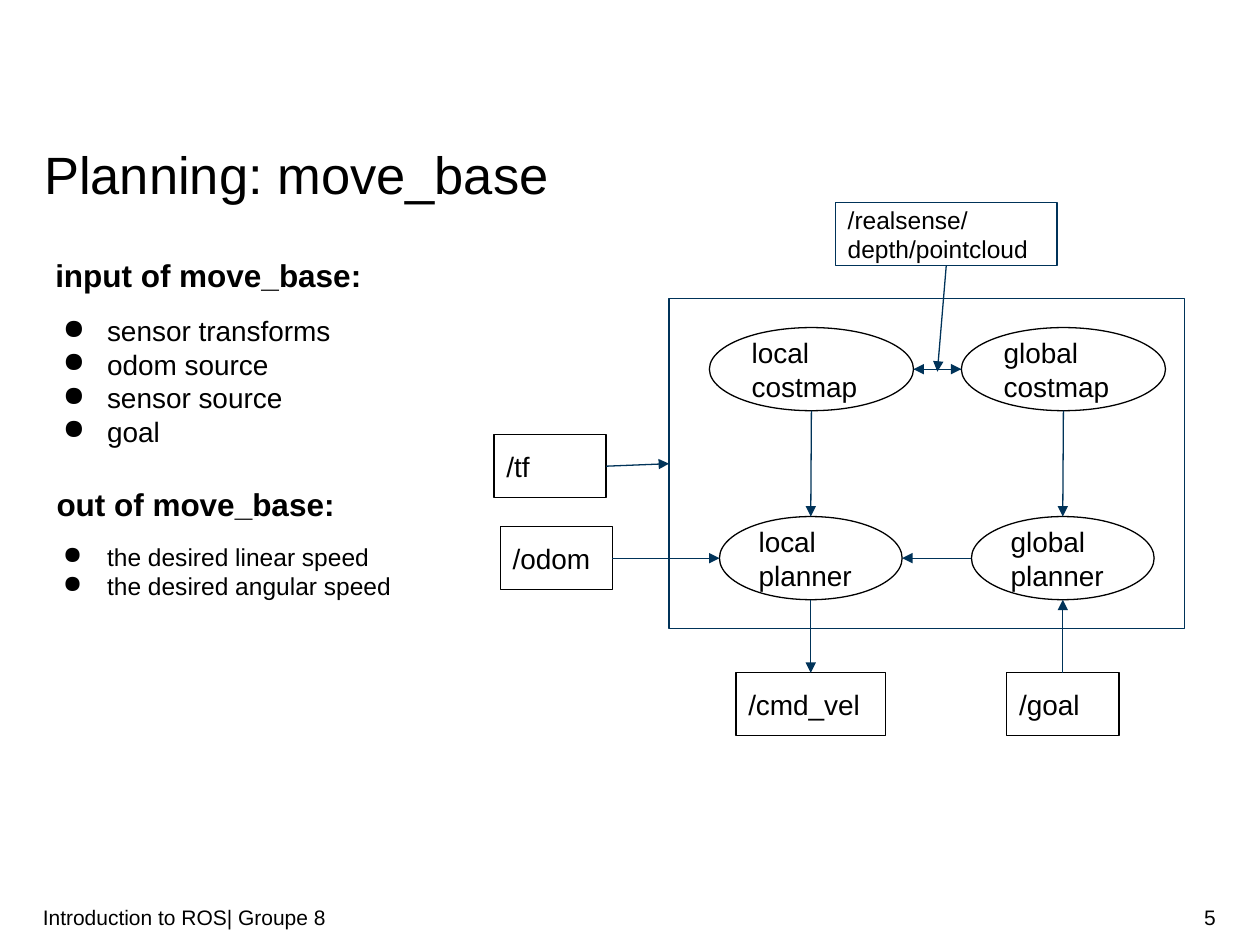
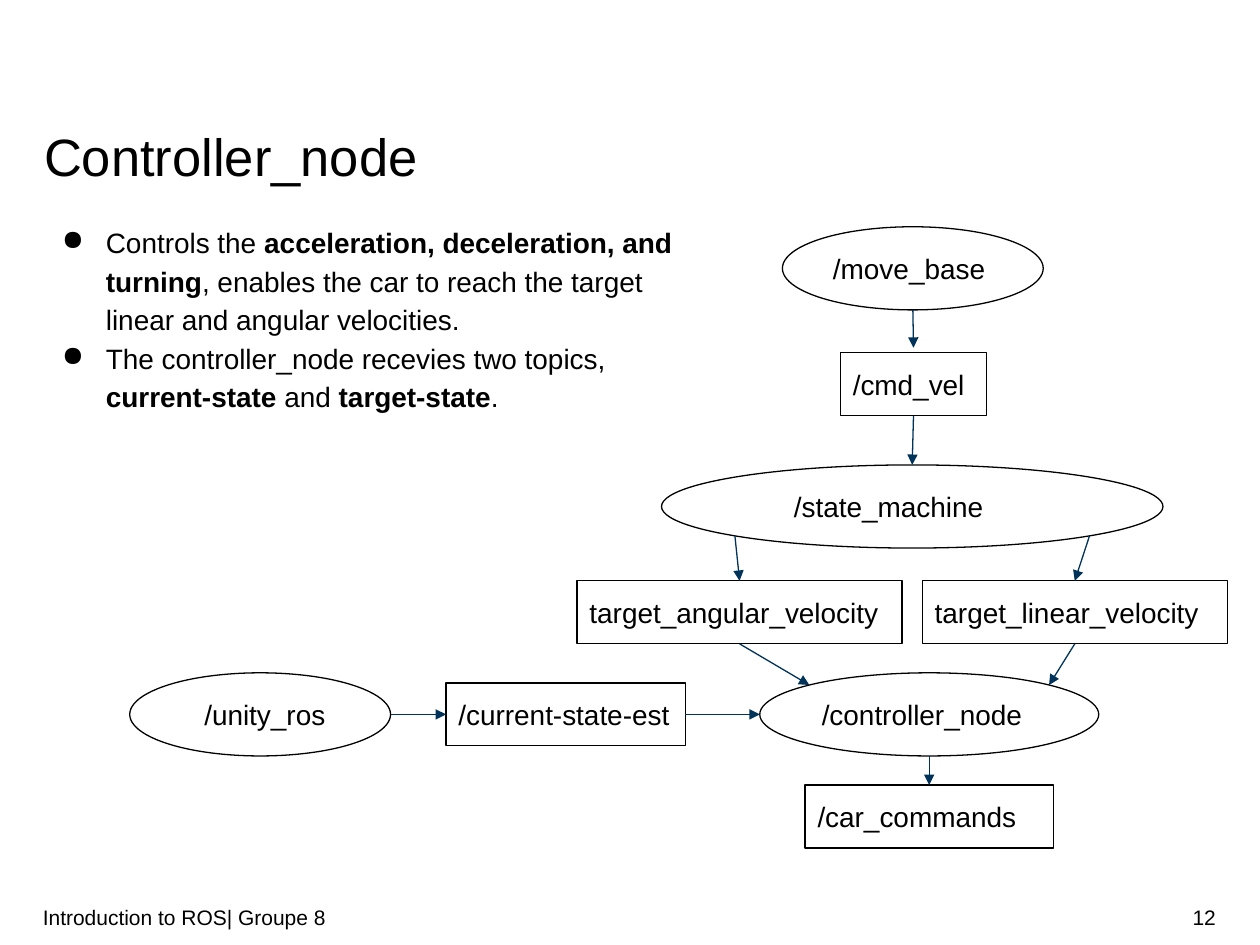
from dataclasses import dataclass

from lxml import etree
from pptx import Presentation
from pptx import util as u
from pptx.dml.color import RGBColor
from pptx.enum import shapes, text
from pptx.oxml import ns


@dataclass(frozen=True)
class Theme:
    font: str = "Arial"
    ink: RGBColor = RGBColor(0, 0, 0)
    paper: RGBColor = RGBColor(255, 255, 255)
    navy: RGBColor = RGBColor(0x00, 0x33, 0x59)
    line: float = 0.75
    title: int = 30
    head: int = 18
    body: int = 16
    small: int = 14
    foot: int = 12


T = Theme()
RECT = shapes.MSO_SHAPE.RECTANGLE
OVAL = shapes.MSO_SHAPE.OVAL
MIDDLE = text.MSO_ANCHOR.MIDDLE
NEAR = 0.5 - 0.5 ** 1.5  # where an oval's diagonal meets its outline
FAR = 1 - NEAR
SIDES = ["top", "left", "low", "right"]  # in order of connection site
SPOTS = {
    "top": (0.5, 0), "left": (0, 0.5), "low": (0.5, 1), "right": (1, 0.5),
    "nw": (NEAR, NEAR), "ne": (FAR, NEAR), "sw": (NEAR, FAR), "se": (FAR, FAR),
}


# Text helpers
def style(frame, size, bold=None):
    for para in frame.paragraphs:
        for run in para.runs:
            font = run.font
            font.name, font.size = T.font, u.Pt(size)
            font.color.rgb = T.ink
            if bold is not None:
                font.bold = bold


def pad(frame, side, top):
    frame.word_wrap = True
    frame.margin_left = frame.margin_right = u.Inches(side)
    frame.margin_top = frame.margin_bottom = u.Inches(top)


def label(page, words, box, size, side=0, top=0, bold=None, mid=False):
    frame = page.shapes.add_textbox(*map(u.Inches, box)).text_frame
    pad(frame, side, top)
    frame.vertical_anchor = MIDDLE if mid else text.MSO_ANCHOR.TOP
    frame.text = words
    style(frame, size, bold)
    return frame


def bullet(para):
    props = para._p.get_or_add_pPr()
    props.set("marL", str(u.Inches(0.5)))
    props.set("indent", str(u.Inches(-0.35)))
    tint = etree.SubElement(props, ns.qn("a:buClr"))
    etree.SubElement(tint, ns.qn("a:srgbClr"), val=str(T.ink))
    etree.SubElement(props, ns.qn("a:buChar"), char="●")


def points(page, items, box, size, top=0.05, space=None):
    """Bulleted list; parts between double asterisks are bold."""
    frame = page.shapes.add_textbox(*map(u.Inches, box)).text_frame
    pad(frame, 0, top)
    for i, item in enumerate(items):
        para = frame.add_paragraph() if i else frame.paragraphs[0]
        bullet(para)
        para.line_spacing = space
        for j, part in enumerate(item.split("**")):
            run = para.add_run()
            run.text = part
            run.font.bold = j % 2 == 1
    style(frame, size)


# Diagram helpers
def node(page, kind, words, box, size=T.body, fill=True, edge=T.ink, indent=0):
    shape = page.shapes.add_shape(kind, *map(u.Inches, box))
    shape.shadow.inherit = False
    if fill:
        shape.fill.solid()
        shape.fill.fore_color.rgb = T.paper
    else:
        shape.fill.background()
    shape.line.color.rgb = edge
    shape.line.width = u.Pt(T.line)
    frame = shape.text_frame
    pad(frame, 0.1, 0.1)
    frame.vertical_anchor = MIDDLE
    frame.text = words
    for para in frame.paragraphs:
        para.alignment = text.PP_ALIGN.LEFT
        if indent:
            para._p.get_or_add_pPr().set("marL", str(u.Inches(indent)))
    style(frame, size)
    return shape


def topic(page, words, left, top, width, **extra):
    return node(page, RECT, words, (left, top, width, 0.5), **extra)


def oval(page, words, left, top, width, **extra):
    return node(page, OVAL, words, (left, top, width, 0.66), **extra)


def spot(end):
    """Place of an end: (shape, side), or (x, y) in inches."""
    if not isinstance(end[1], str):
        return [u.Inches(n) for n in end]
    shape, side = end
    x, y = SPOTS[side]
    return [int(shape.left + x * shape.width), int(shape.top + y * shape.height)]


def join(end, connect):
    shape, side = end
    if side == "top" or side in SIDES and shape.auto_shape_type == RECT:
        connect(shape, SIDES.index(side))


def link(page, start, end):
    arrow = page.shapes.add_connector(
        shapes.MSO_CONNECTOR.STRAIGHT, *spot(start), *spot(end))
    join(start, arrow.begin_connect)
    join(end, arrow.end_connect)
    arrow.line.color.rgb = T.navy
    arrow.line.width = u.Pt(T.line)
    etree.SubElement(arrow.line._get_or_add_ln(), ns.qn("a:tailEnd"), type="triangle")
    etree.SubElement(arrow._element.spPr, ns.qn("a:effectLst"))


# Shared page: title, footer and number
def sheet(deck, title, top, number):
    page = deck.slides.add_slide(deck.slide_layouts[6])
    head = label(page, title, (0.35, top, 9.31, 0.5), T.title)
    head.paragraphs[0].line_spacing = 1.07
    label(page, "Introduction to ROS| Groupe 8", (0.34, 7.08, 7.07, 0.4),
          T.foot, top=0.05, mid=True)
    count = label(page, number, (7.41, 7.08, 2.24, 0.4), T.foot, top=0.05, mid=True)
    count.paragraphs[0].alignment = text.PP_ALIGN.RIGHT
    return page


def plan(deck):
    page = sheet(deck, "Planning: move_base", 1.09, "5")

    # Inputs and outputs
    label(page, "input of move_base:", (0.34, 1.93, 4.18, 0.5), T.head, 0.1, 0.1, True)
    points(page, ["sensor transforms", "odom source", "sensor source", "goal"],
           (0.35, 2.44, 4.64, 0.89), T.body)
    label(page, "out of move_base:", (0.35, 3.75, 4.18, 0.5), T.head, 0.1, 0.1, True)
    points(page, ["the desired linear speed", "the desired angular speed"],
           (0.35, 4.25, 4.64, 0.66), T.small)

    # Nodes
    frame = node(page, RECT, "", (5.31, 2.37, 4.09, 2.62), fill=False, edge=T.navy)
    cloud = topic(page, "/realsense/depth/pointcloud", 6.63, 1.61, 1.76,
                  size=T.small, fill=False, edge=T.navy)
    tf = topic(page, "/tf", 3.92, 3.45, 0.89)
    odom = topic(page, "/odom", 3.97, 4.18, 0.89)
    speed = topic(page, "/cmd_vel", 5.84, 5.34, 1.19)
    goal = topic(page, "/goal", 7.99, 5.34, 0.89)
    near_map = oval(page, "local\ncostmap", 5.63, 2.6, 1.62)
    wide_map = oval(page, "global\ncostmap", 7.63, 2.6, 1.62)
    near_plan = oval(page, "local planner", 5.71, 4.1, 1.45)
    wide_plan = oval(page, "global\nplanner", 7.71, 4.1, 1.45)

    # Arrows
    for start, end in [
        ((cloud, "low"), (7.44, 2.95)),
        ((tf, "right"), (frame, "left")),
        ((odom, "right"), (near_plan, "left")),
        ((near_map, "right"), (wide_map, "left")),
        ((wide_map, "left"), (near_map, "right")),
        ((near_map, "low"), (near_plan, "top")),
        ((wide_map, "low"), (wide_plan, "top")),
        ((wide_plan, "left"), (near_plan, "right")),
        ((near_plan, "low"), (speed, "top")),
        ((goal, "top"), (wide_plan, "low")),
    ]:
        link(page, start, end)


def control(deck):
    page = sheet(deck, "Controller_node", 0.95, "12")
    points(page, [
        "Controls the **acceleration, deceleration, and turning**, enables the car "
        "to reach the target linear and angular velocities.",
        "The controller_node recevies two topics, **current-state** and "
        "**target-state**.",
    ], (0.34, 1.75, 5.09, 2.5), T.body, top=0, space=1.15)

    # Nodes
    base = oval(page, "/move_base", 6.21, 1.8, 2.07)
    speed = topic(page, "/cmd_vel", 6.67, 2.8, 1.16)
    state = oval(page, "/state_machine", 5.25, 3.69, 3.98, indent=0.37)
    turn = topic(page, "target_angular_velocity", 4.58, 4.61, 2.58)
    ahead = topic(page, "target_linear_velocity", 7.32, 4.61, 2.42)
    unity = oval(page, "/unity_ros", 1.03, 5.34, 2.07, indent=0.19)
    guess = topic(page, "/current-state-est", 3.54, 5.42, 1.9)
    driver = oval(page, "/controller_node", 6.03, 5.34, 2.69)
    car = topic(page, "/car_commands", 6.39, 6.23, 1.97)

    # Arrows
    for start, end in [
        ((base, "low"), (7.25, 2.76)),
        ((speed, "low"), (state, "top")),
        ((state, "sw"), (turn, "top")),
        ((state, "se"), (ahead, "top")),
        ((turn, "low"), (driver, "nw")),
        ((ahead, "low"), (driver, "ne")),
        ((unity, "right"), (guess, "left")),
        ((guess, "right"), (driver, "left")),
        ((driver, "low"), (car, "top")),
    ]:
        link(page, start, end)


def main():
    deck = Presentation()
    deck.slide_width, deck.slide_height = u.Inches(10), u.Inches(7.5)
    plan(deck)
    control(deck)
    deck.save("out.pptx")


if __name__ == "__main__":
    main()
